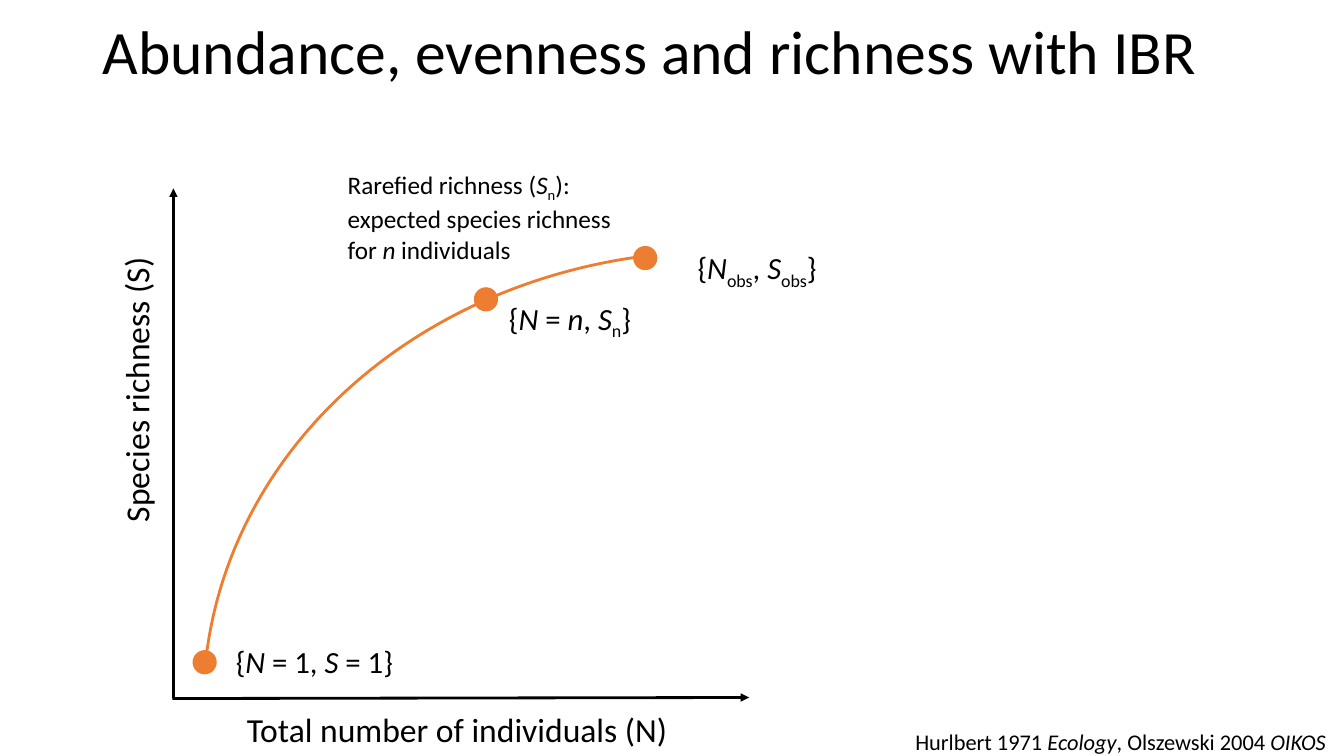
import dataclasses

import lxml.etree
import pptx
import pptx.dml.color
import pptx.enum.shapes
import pptx.enum.text
import pptx.oxml.ns
import pptx.util

Inches = pptx.util.Inches
Pt = pptx.util.Pt
Shape = pptx.enum.shapes.MSO_SHAPE
Fit = pptx.enum.text.MSO_AUTO_SIZE
Anchor = pptx.enum.text.MSO_ANCHOR
RGB = pptx.dml.color.RGBColor.from_string
qn = pptx.oxml.ns.qn


@dataclasses.dataclass
class Theme:
    """Fonts, colours and sizes of the slide."""
    font: str = "Calibri"
    ink: str = "000000"
    curve: str = "ED7D31"
    title: int = 44
    axis: int = 24
    point: int = 22
    note: int = 18
    cite: int = 16
    line: int = 2
    dot: float = 0.24


class Board:
    """Draws each kind of element on one slide."""

    def __init__(self, slide, theme):
        self.shapes = slide.shapes
        self.theme = theme

    def text(self, box, size, *paras, wrap=False, turn=0):
        """Add a text box whose runs are (text, style) pairs."""
        label = self.shapes.add_textbox(*map(Inches, box))
        label.rotation = turn
        frame = label.text_frame
        frame.word_wrap = wrap
        frame.auto_size = Fit.SHAPE_TO_FIT_TEXT
        for i, runs in enumerate(paras):
            para = frame.paragraphs[0] if i == 0 else frame.add_paragraph()
            for words, style in runs:
                run = para.add_run()
                run.text = words
                run.font.name = self.theme.font
                run.font.size = Pt(size)
                run.font.color.rgb = RGB(self.theme.ink)
                run.font.italic = style == "italic"
                if style == "sub":
                    run.font._element.set("baseline", "-25000")
        return frame

    def title(self, box, words):
        """Add the heading, centred in its box from top to bottom."""
        frame = self.text(box, self.theme.title, [(words, "")], wrap=True)
        frame.auto_size = Fit.NONE
        frame.vertical_anchor = Anchor.MIDDLE
        frame.paragraphs[0].line_spacing = 0.9

    def arrow(self, *ends):
        """Add a straight arrow given as x1, y1, x2, y2."""
        kind = pptx.enum.shapes.MSO_CONNECTOR.STRAIGHT
        arrow = self.shapes.add_connector(kind, *map(Inches, ends))
        arrow.line.color.rgb = RGB(self.theme.ink)
        arrow.line.width = Pt(self.theme.line)
        props = arrow._element.spPr
        lxml.etree.SubElement(props.find(qn("a:ln")), qn("a:tailEnd"), type="triangle")
        lxml.etree.SubElement(props, qn("a:effectLst"))

    def arc(self, box, turn, start, end):
        """Add a mirrored arc, its angles in degrees."""
        arc = self.shapes.add_shape(Shape.ARC, *map(Inches, box))
        arc.shadow.inherit = False
        arc.rotation = turn
        for i, angle in enumerate((start, end)):
            arc.adjustments[i] = angle * 0.6
        arc._element.spPr.xfrm.set("flipH", "1")
        arc.fill.background()
        arc.line.color.rgb = RGB(self.theme.curve)
        arc.line.width = Pt(self.theme.line)

    def dot(self, left, top):
        """Add a round marker on the curve."""
        side = self.theme.dot
        dot = self.shapes.add_shape(Shape.OVAL, *map(Inches, (left, top, side, side)))
        dot.shadow.inherit = False
        dot.fill.solid()
        dot.fill.fore_color.rgb = RGB(self.theme.curve)
        dot.line.fill.background()


def main():
    """Build and save the slide."""
    deck = pptx.Presentation()
    deck.slide_width, deck.slide_height = Inches(13.33), Inches(7.5)
    theme = Theme()
    board = Board(deck.slides.add_slide(deck.slide_layouts[6]), theme)

    board.title((0.92, -0.18, 11.5, 1.45), "Abundance, evenness and richness with IBR")
    board.arrow(1.72, 6.92, 1.72, 1.87)
    board.arrow(1.71, 6.93, 7.43, 6.92)
    board.text((-0.21, 3.43, 3.16, 0.54), theme.axis,
               [("Species richness (S)", "")], turn=270)
    board.text((2.35, 6.98, 4.7, 0.56), theme.axis,
               [("Total number of individuals (N)", "")])
    board.arc((2.01, 2.5, 10.58, 9.26), 5.9, 286.13, 0)
    board.text((8.98, 7.17, 4.35, 0.37), theme.cite,
               [("Hurlbert 1971 ", ""), ("Ecology", "italic"),
                (", Olszewski 2004 ", ""), ("OIKOS", "italic")])

    for spot in ((1.91, 6.45), (6.28, 2.44), (4.7, 2.85)):
        board.dot(*spot)

    board.text((6.82, 2.42, 1.47, 0.47), theme.point,
               [("{", ""), ("N", "italic"), ("obs", "sub"), (", ", ""),
                ("S", "italic"), ("obs", "sub"), ("}", "")])
    board.text((2.24, 6.33, 1.76, 0.47), theme.point,
               [("{", ""), ("N ", "italic"), ("= 1, ", ""),
                ("S", "italic"), (" = 1}", "")])
    board.text((4.95, 2.92, 1.44, 0.47), theme.point,
               [("{", ""), ("N ", "italic"), ("= ", ""), ("n", "italic"), (", ", ""),
                ("S", "italic"), ("n", "sub"), ("}", "")])
    board.text((3.35, 1.63, 3.04, 1.01), theme.note,
               [("Rarefied richness (", ""), ("S", "italic"), ("n", "sub"),
                ("): expected species richness", "")],
               [("for ", ""), ("n ", "italic"), ("individuals", "")], wrap=True)

    deck.save("out.pptx")


if __name__ == "__main__":
    main()
